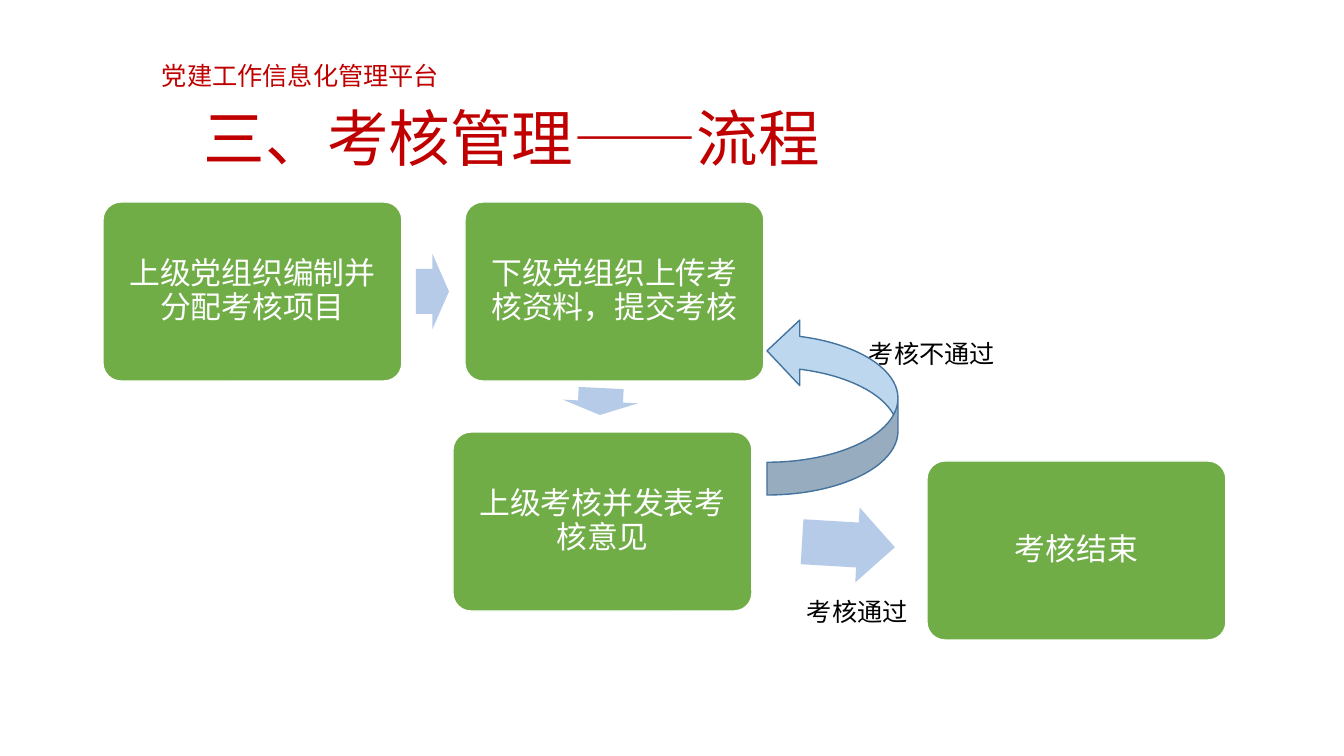
from lxml.etree import SubElement
from pptx import Presentation
from pptx.dml.color import RGBColor
from pptx.enum.shapes import MSO_SHAPE as Preset
from pptx.enum.text import MSO_ANCHOR as Anchor, MSO_AUTO_SIZE as AutoSize, PP_ALIGN as Align
from pptx.oxml.ns import qn
from pptx.util import Pt

EMU_PER_PIXEL = 914400 / 100.8
RED = RGBColor(0xC0, 0x00, 0x00)
GREEN = RGBColor(0x70, 0xAD, 0x47)
PALE_BLUE = RGBColor(0xB5, 0xCB, 0xE7)
LIGHT_BLUE = RGBColor(0xBD, 0xD7, 0xEE)
DARK_BLUE = RGBColor(0x43, 0x73, 0x9E)
WHITE = RGBColor(0xFF, 0xFF, 0xFF)
BLACK = RGBColor(0x00, 0x00, 0x00)
CHINESE, LATIN = "Noto Sans CJK SC", "Calibri"

TITLE = "三、考核管理——流程"
TITLE_PLACE = (93, 97, 1159, 90)
TITLE_INDENT = 111
STEP_SIZE = (299, 179)
STEP_INSET = 14
STEPS = [  # text, left, top
    ("上级党组织编制并分配考核项目", 103, 202),
    ("下级党组织上传考核资料，提交考核", 465, 202),
    ("上级考核并发表考核意见", 453, 432),
    ("考核结束", 927, 461),
]
ARROWS = [  # place, rotation
    ((416, 254, 33, 75), 0),
    ((587, 364, 27, 75), 92.8),
    ((802, 507, 93, 75), 3.4),
]
RETURN_ARROW_PLACE = (744, 341, 177, 131)
LABELS = [  # text, place, font, colour
    ("考核通过", (797, 591, 122, 40), LATIN, BLACK),
    ("考核不通过", (859, 333, 147, 40), LATIN, BLACK),
    ("党建工作信息化管理平台", (152, 55, 300, 40), CHINESE, RED),
]


def pixels(*lengths):
    """Turn pixel lengths into EMU."""
    return [round(length * EMU_PER_PIXEL) for length in lengths]


def write(shape, text, size, font, colour, align=Align.LEFT, spacing=1.0):
    """Write one formatted paragraph into a shape."""
    shape.text_frame.text = text
    paragraph = shape.text_frame.paragraphs[0]
    paragraph.alignment, paragraph.line_spacing = align, spacing
    run = paragraph.runs[0]
    run.font.size, run.font.name = Pt(size), font
    run.font.color.rgb = colour
    SubElement(run.font._element, qn("a:ea"), typeface=CHINESE)


def add_preset(slide, preset, place, fill, line=None, rotation=0):
    """Add a flat preset shape, outlined only when a line colour is given."""
    shape = slide.shapes.add_shape(preset, *pixels(*place))
    shape.shadow.inherit = False
    shape.rotation = rotation
    shape.fill.solid()
    shape.fill.fore_color.rgb = fill
    if line is None:
        shape.line.fill.background()
    else:
        shape.line.color.rgb = line
        shape.line.width = Pt(1)
    return shape


def add_title(slide):
    """Place and fill the title placeholder."""
    title = slide.shapes.title
    title.left, title.top, title.width, title.height = pixels(*TITLE_PLACE)
    write(title, TITLE, 44, CHINESE, RED, spacing=0.9)
    frame = title.text_frame
    frame.auto_size, frame.vertical_anchor = AutoSize.NONE, Anchor.MIDDLE
    frame.margin_left = pixels(TITLE_INDENT)[0]


def add_step(slide, text, left, top):
    """Add one green step of the process."""
    step = add_preset(slide, Preset.ROUNDED_RECTANGLE, (left, top, *STEP_SIZE), GREEN, WHITE)
    step.adjustments[0] = 0.1
    write(step, text, 22, LATIN, WHITE, Align.CENTER, 0.9)
    frame = step.text_frame
    frame.word_wrap, frame.vertical_anchor = True, Anchor.MIDDLE
    inset = pixels(STEP_INSET)[0]
    frame.margin_left = frame.margin_right = frame.margin_top = frame.margin_bottom = inset


def add_label(slide, text, place, font, colour):
    """Add a one-line label that fits its text."""
    label = slide.shapes.add_textbox(*pixels(*place))
    write(label, text, 18, font, colour)
    label.text_frame.word_wrap = False
    label.text_frame.auto_size = AutoSize.SHAPE_TO_FIT_TEXT


def main():
    """Build and save the slide."""
    presentation = Presentation()
    presentation.slide_width, presentation.slide_height = pixels(1344, 756)
    slide = presentation.slides.add_slide(presentation.slide_layouts[5])
    add_title(slide)
    for step in STEPS:
        add_step(slide, *step)
    for place, rotation in ARROWS:
        arrow = add_preset(slide, Preset.RIGHT_ARROW, place, PALE_BLUE, rotation=rotation)
        arrow.adjustments[0] = 0.6
    add_preset(slide, Preset.CURVED_UP_ARROW, RETURN_ARROW_PLACE, LIGHT_BLUE, DARK_BLUE, 270)
    for label in LABELS:
        add_label(slide, *label)
    presentation.save("out.pptx")


main()
